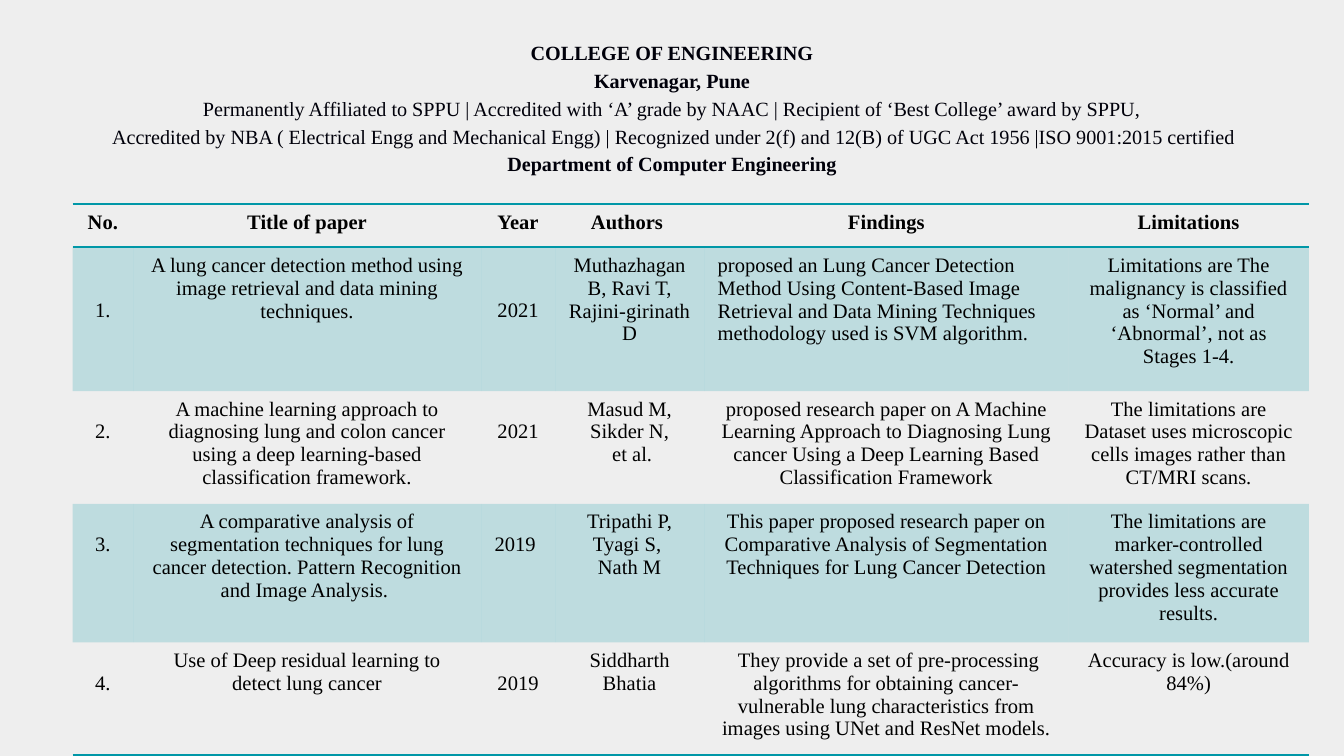
from dataclasses import dataclass

from lxml.etree import SubElement
from pptx import Presentation
from pptx.dml.color import RGBColor as Rgb
from pptx.enum.text import MSO_ANCHOR as Anchor, MSO_AUTO_SIZE as AutoSize, PP_ALIGN as Align
from pptx.oxml.ns import qn
from pptx.util import Inches, Pt


@dataclass(frozen=True)
class Theme:
    font: str = "Times New Roman"
    heading_size: float = 10.8
    table_size: float = 11
    background: str = "EEEEEE"
    heading: str = "00000A"
    ink: str = "000000"
    accent: str = "0097A7"
    band_alpha: int = 20
    rule_width: float = 1
    line_pitch: float = 0.17  # inches taken by one table line
    cell_margin: float = 0.05


@dataclass(frozen=True)
class Paper:
    number: str
    title: str
    year: str
    authors: str
    findings: str
    limitations: str
    height: float
    number_drop: int = 1  # lines the number and year sit below the row top
    banded: bool = False
    left_column: int = -1  # column set flush left

    def texts(self) -> tuple:
        return (self.number, self.title, self.year,
                self.authors, self.findings, self.limitations)


THEME = Theme()
SLIDE_WIDTH = Inches(10)
SLIDE_HEIGHT = SLIDE_WIDTH * 9 // 16  # widescreen
HEADING = (
    ("COLLEGE OF ENGINEERING", True),
    ("Karvenagar, Pune", True),
    ("Permanently Affiliated to SPPU | Accredited with ‘A’ grade by NAAC | "
     "Recipient of ‘Best College’ award by SPPU,", False),
    (" Accredited by NBA ( Electrical Engg and Mechanical Engg) | Recognized under "
     "2(f) and 12(B) of UGC Act 1956 |ISO 9001:2015 certified", False),
    ("Department of Computer Engineering", True),
)
COLUMN_WIDTHS = (0.45, 2.59, 0.55, 1.11, 2.71, 1.79)
NUMBER, YEAR, FINDINGS = 0, 2, 4
HEADER = Paper("No.", "Title of paper", "Year", "Authors ", "Findings", "Limitations",
               height=0.32, number_drop=0)
PAPERS = (
    Paper("1.",
          "A lung cancer detection method using image retrieval and data mining techniques.",
          "2021", "Muthazhagan B, Ravi T, Rajini-girinath D",
          "proposed an Lung Cancer Detection Method Using Content-Based Image Retrieval "
          "and Data Mining Techniques methodology used is SVM algorithm.",
          "Limitations are The malignancy is classified as ‘Normal’ and ‘Abnormal’, "
          "not as Stages 1-4.",
          height=1.07, number_drop=2, banded=True, left_column=FINDINGS),
    Paper("2.",
          "A machine learning approach to diagnosing lung and colon cancer using a deep "
          "learning-based classification framework.",
          "2021", "Masud M, Sikder N,\n et al.",
          "proposed research paper on A Machine Learning Approach to Diagnosing Lung cancer "
          "Using a Deep Learning Based Classification Framework",
          "The limitations are Dataset uses microscopic cells images rather than CT/MRI scans.",
          height=0.84),
    Paper("3.",
          "A comparative analysis of segmentation techniques for lung cancer detection. "
          "Pattern Recognition and Image Analysis. ",
          "2019", "Tripathi P, Tyagi S, \nNath M",
          "This paper proposed research paper on Comparative Analysis of Segmentation "
          "Techniques for Lung Cancer Detection",
          "The limitations are marker-controlled watershed segmentation provides less "
          "accurate\vresults.",
          height=1.03, banded=True, left_column=YEAR),
    Paper("4.", "Use of Deep residual learning to detect lung cancer",
          "2019", "Siddharth Bhatia",
          " They provide a set of pre-processing algorithms for obtaining cancer-vulnerable "
          "lung characteristics from images using UNet and ResNet models.",
          "Accuracy is low.(around 84%)", height=0.84),
)


def set_all(target, values: dict) -> None:
    for name, value in values.items():
        setattr(target, name, value)


def style_paragraph(paragraph, size: float, color: str, bold: bool, align) -> None:
    paragraph.alignment = align
    for run in paragraph.runs:
        set_all(run.font, {"name": THEME.font, "size": Pt(size), "bold": bold})
        run.font.color.rgb = Rgb.from_string(color)


def fill_cell(cell, banded: bool) -> None:
    if not banded:
        cell.fill.background()
        return
    cell.fill.solid()
    cell.fill.fore_color.rgb = Rgb.from_string(THEME.accent)
    for color in cell._tc.tcPr.iter(qn("a:srgbClr")):
        SubElement(color, qn("a:alpha"), val=str(THEME.band_alpha * 1000))


def rule_cell(cell, sides: tuple) -> None:
    """Draw accent rules; borders must come before the fill in the cell."""
    properties = cell._tc.get_or_add_tcPr()
    for position, side in enumerate(sides):
        line = SubElement(properties, qn(f"a:ln{side}"), w=str(Pt(THEME.rule_width)))
        solid = SubElement(line, qn("a:solidFill"))
        SubElement(solid, qn("a:srgbClr"), val=THEME.accent)
        properties.insert(position, line)


def draw_heading(slide) -> None:
    title = slide.shapes.title
    set_all(title, {"left": Inches(0.34), "top": Inches(0.16),
                    "width": Inches(9.32), "height": Inches(1.25)})
    frame = title.text_frame
    margins = {f"margin_{side}": Inches(0.1) for side in ("left", "top", "right", "bottom")}
    set_all(frame, {"vertical_anchor": Anchor.BOTTOM, "word_wrap": True,
                    "auto_size": AutoSize.NONE, **margins})
    frame.text = "\n".join(text for text, _ in HEADING)
    for paragraph, (_, bold) in zip(frame.paragraphs, HEADING):
        set_all(paragraph, {"line_spacing": 1.15, "space_before": Pt(0)})
        style_paragraph(paragraph, THEME.heading_size, THEME.heading, bold, Align.CENTER)


def draw_row(table, index: int, paper: Paper, bold: bool, sides: tuple) -> None:
    table.rows[index].height = Inches(paper.height)
    for column, text in enumerate(paper.texts()):
        cell = table.cell(index, column)
        cell.text = text
        drop = paper.number_drop if column in (NUMBER, YEAR) else 0
        set_all(cell, {"margin_left": Inches(0.1), "margin_right": Inches(0.1),
                       "margin_top": Inches(THEME.cell_margin + drop * THEME.line_pitch),
                       "margin_bottom": Inches(THEME.cell_margin)})
        align = Align.LEFT if column == paper.left_column else Align.CENTER
        for paragraph in cell.text_frame.paragraphs:
            style_paragraph(paragraph, THEME.table_size, THEME.ink, bold, align)
        fill_cell(cell, paper.banded)
        rule_cell(cell, sides)


def draw_survey(slide) -> None:
    rows = (HEADER, *PAPERS)
    table = slide.shapes.add_table(
        len(rows), len(COLUMN_WIDTHS), Inches(0.54), Inches(1.52),
        Inches(sum(COLUMN_WIDTHS)), Inches(sum(row.height for row in rows))).table
    # Plain table style without bands or grid
    set_all(table, {"first_row": False, "horz_banding": False})
    table._tbl.tblPr.find(qn("a:tableStyleId")).text = "{2D5ABB26-0587-4C30-8999-92F81FD0307C}"
    for column, width in zip(table.columns, COLUMN_WIDTHS):
        column.width = Inches(width)
    rules = {0: ("T", "B"), len(rows) - 1: ("B",)}
    for index, row in enumerate(rows):
        draw_row(table, index, row, index == 0, rules.get(index, ()))


def main() -> None:
    deck = Presentation()
    set_all(deck, {"slide_width": SLIDE_WIDTH, "slide_height": SLIDE_HEIGHT})
    slide = deck.slides.add_slide(deck.slide_layouts[5])  # title only
    slide.background.fill.solid()
    slide.background.fill.fore_color.rgb = Rgb.from_string(THEME.background)
    draw_heading(slide)
    draw_survey(slide)
    deck.save("out.pptx")


if __name__ == "__main__":
    main()
